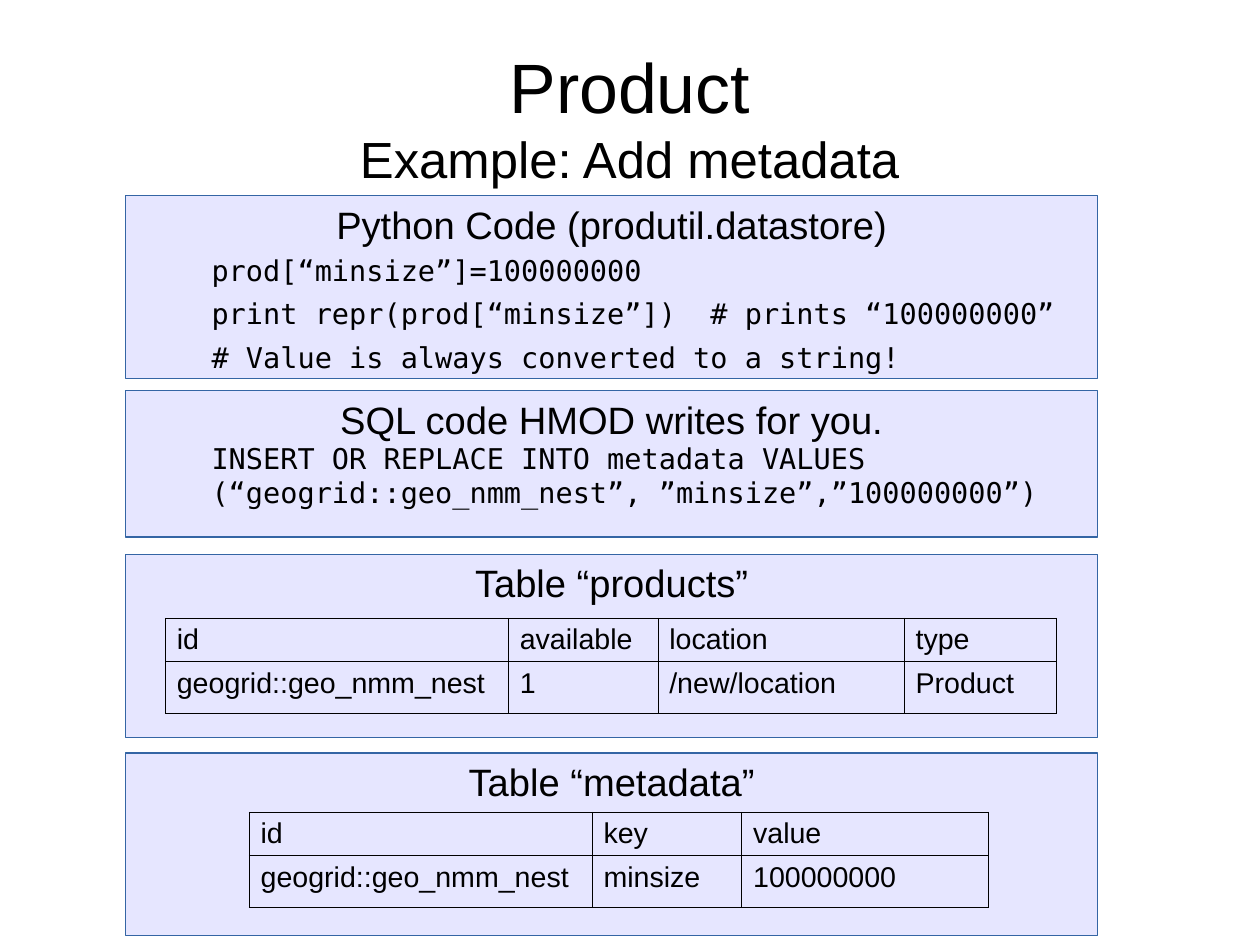
from pptx import Presentation
from pptx.dml.color import RGBColor
from pptx.enum.shapes import MSO_SHAPE
from pptx.enum.text import MSO_ANCHOR, PP_ALIGN
from pptx.oxml import parse_xml
from pptx.oxml.ns import nsdecls
from pptx.util import Cm, Inches, Pt

PROCESS = MSO_SHAPE.FLOWCHART_PROCESS
TOP, MIDDLE = MSO_ANCHOR.TOP, MSO_ANCHOR.MIDDLE
LEFT, CENTER = PP_ALIGN.LEFT, PP_ALIGN.CENTER

W, H = Cm(28), Cm(21)
SANS, MONO = "Arial", "DejaVu Sans Mono"
BLACK, PANEL_FILL, PANEL_LINE = "000000", "E6E6FF", "3465A4"

# Shares of the slide, in percent
PANEL_X, PANEL_W, PANEL_H, SQL_H = 9.98, 77.13, 19.35, 15.48
CODE_X, CODE_W, CODE_H = 16.79, 68.51, 11.73
ID_COL, KEY_COL, VALUE_COL, TYPE_COL = 27.22, 11.87, 19.55, 12.07
ROWS = (4.59, 5.44)


def color(value):
    return RGBColor.from_string(value)


def across(share):
    return int(W * share / 100)


def down(share):
    return int(H * share / 100)


def area(x, y, w, h):
    return across(x), down(y), across(w), down(h)


def format_text(tf, size, font=SANS, align=LEFT, after=0):
    for p in tf.paragraphs:
        p.alignment = align
        p.space_after = Pt(after)
        for r in p.runs:
            r.font.size = Pt(size)
            r.font.name = font
            r.font.color.rgb = color(BLACK)


def add_text(s, box, text, size, font=SANS, align=LEFT, after=0, anchor=TOP):
    tf = s.shapes.add_textbox(*box).text_frame
    tf.word_wrap = True
    tf.vertical_anchor = anchor
    tf.margin_left = tf.margin_right = tf.margin_top = tf.margin_bottom = 0
    tf.text = text
    format_text(tf, size, font, align, after)
    return tf


def add_title(s, title, subtitle):
    tf = add_text(s, area(5, 3.93, 90, 16.69), f"{title}\v{subtitle}", 44,
                  align=CENTER, anchor=MIDDLE)
    tf.paragraphs[0].runs[1].font.size = Pt(32)


def add_panel(s, y, heading, h=PANEL_H):
    sp = s.shapes.add_shape(PROCESS, *area(PANEL_X, y, PANEL_W, h))
    sp.shadow.inherit = False
    sp.fill.solid()
    sp.fill.fore_color.rgb = color(PANEL_FILL)
    sp.line.color.rgb = color(PANEL_LINE)
    sp.line.width = Pt(0)
    tf = sp.text_frame
    tf.word_wrap = True
    tf.vertical_anchor = TOP
    tf.text = heading
    format_text(tf, 24, align=CENTER)


def add_code(s, y, lines, after):
    box = area(CODE_X, y, CODE_W, CODE_H)
    add_text(s, box, "\n".join(lines), 18, MONO, after=after)


def add_borders(cell):
    tc_pr = cell._tc.get_or_add_tcPr()
    for side in "LRTB":
        tc_pr.append(parse_xml(
            f'<a:ln{side} {nsdecls("a")} w="{Pt(0.57)}"><a:solidFill>'
            f'<a:srgbClr val="{BLACK}"/></a:solidFill></a:ln{side}>'))


def add_data_table(s, x, y, cols, data):
    box = area(x, y, sum(cols), sum(ROWS))
    table = s.shapes.add_table(len(data), len(cols), *box).table
    table.first_row = table.horz_banding = False
    for col, share in zip(table.columns, cols):
        col.width = across(share)
    for row, share, values in zip(table.rows, ROWS, data):
        row.height = down(share)
        for cell, value in zip(row.cells, values):
            add_borders(cell)
            cell.fill.background()
            cell.margin_bottom = Inches(0.03)
            cell.text = value
            format_text(cell.text_frame, 18)


def main():
    prs = Presentation()
    prs.slide_width, prs.slide_height = W, H
    s = prs.slides.add_slide(prs.slide_layouts[6])

    add_title(s, "Product", "Example: Add metadata")

    add_panel(s, 20.68, "Python Code (produtil.datastore)")
    add_code(s, 26.72, ["prod[“minsize”]=100000000",
                        "print repr(prod[“minsize”])  # prints “100000000”",
                        "# Value is always converted to a string!"], 5.8)

    add_panel(s, 41.35, "SQL code HMOD writes for you.", SQL_H)
    add_code(s, 46.67, ["INSERT OR REPLACE INTO metadata VALUES "
                        "(“geogrid::geo_nmm_nest”, ”minsize”,”100000000”)"], 14.2)

    add_panel(s, 58.65, "Table “products”")
    add_data_table(s, 13.13, 65.42, (ID_COL, KEY_COL, VALUE_COL, TYPE_COL),
                   [("id", "available", "location", "type"),
                    ("geogrid::geo_nmm_nest", "1", "/new/location", "Product")])

    add_panel(s, 79.69, "Table “metadata”")
    add_data_table(s, 19.78, 85.95, (ID_COL, KEY_COL, VALUE_COL),
                   [("id", "key", "value"),
                    ("geogrid::geo_nmm_nest", "minsize", "100000000")])

    prs.save("out.pptx")


if __name__ == "__main__":
    main()
